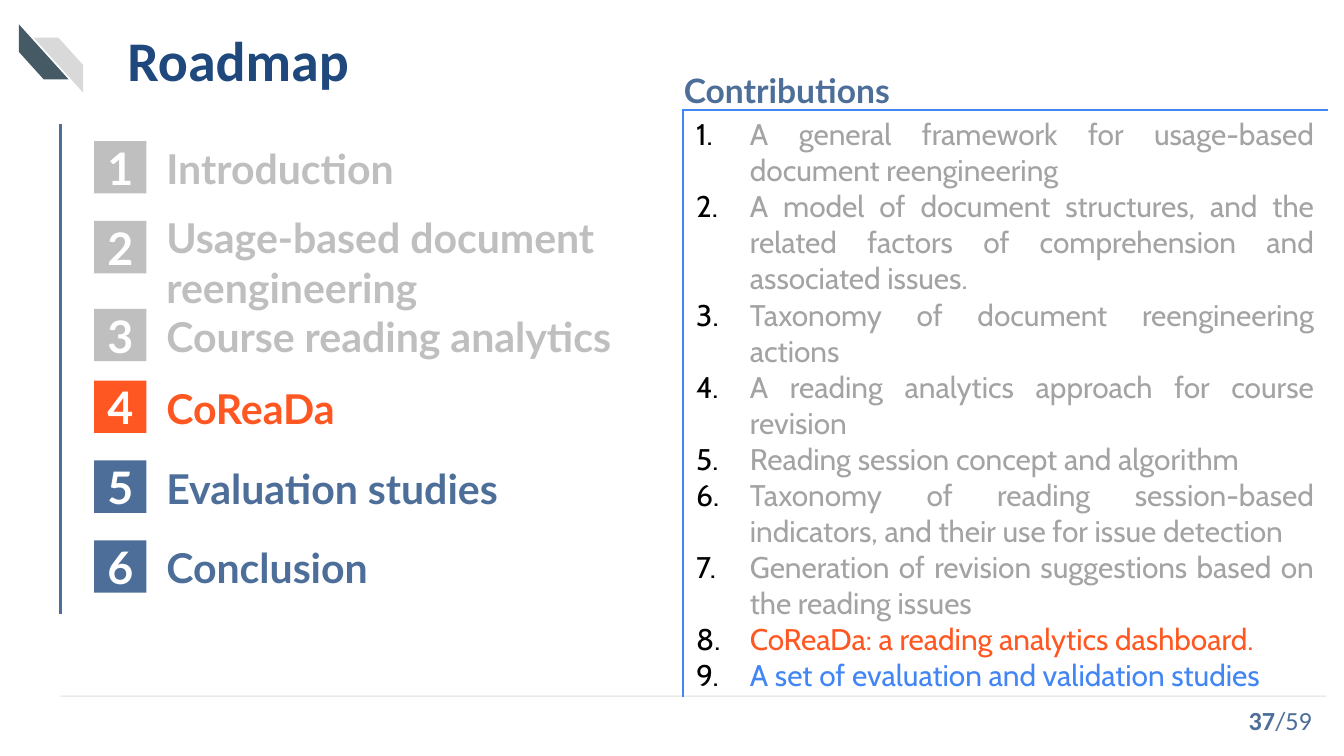
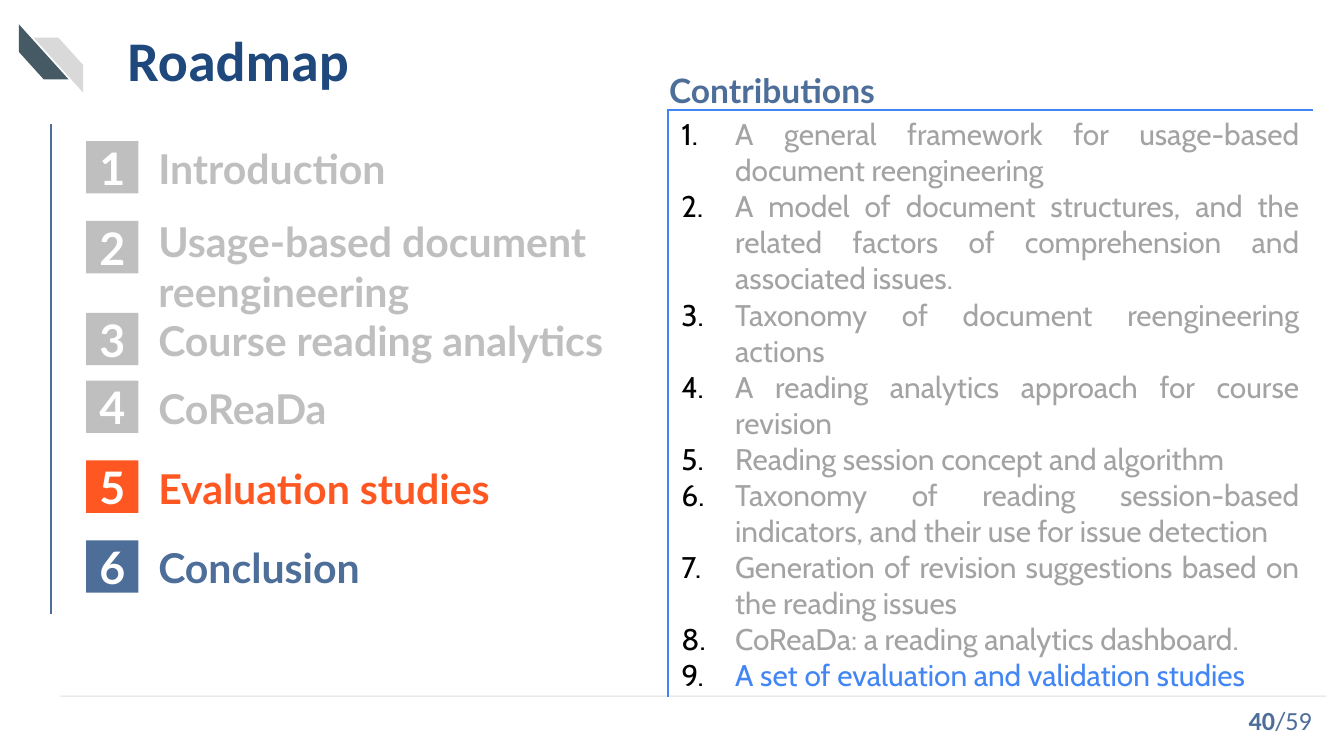
from lxml import etree
from pptx import Presentation
from pptx.dml.color import RGBColor
from pptx.enum.shapes import MSO_CONNECTOR, MSO_SHAPE
from pptx.enum.text import MSO_ANCHOR, PP_ALIGN
from pptx.oxml.ns import qn
from pptx.util import Inches, Pt

STRAIGHT = MSO_CONNECTOR.STRAIGHT
RECTANGLE, STRIPE = MSO_SHAPE.RECTANGLE, MSO_SHAPE.DIAGONAL_STRIPE
TOP, MIDDLE = MSO_ANCHOR.TOP, MSO_ANCHOR.MIDDLE
LEFT, CENTER, RIGHT, JUSTIFY = PP_ALIGN.LEFT, PP_ALIGN.CENTER, PP_ALIGN.RIGHT, PP_ALIGN.JUSTIFY

WHITE = RGBColor(0xFF, 0xFF, 0xFF)
NAVY = RGBColor(0x1F, 0x49, 0x7D)
STEEL = RGBColor(0x4E, 0x6E, 0x9A)
ORANGE = RGBColor(0xFF, 0x57, 0x22)
BLUE = RGBColor(0x42, 0x85, 0xF4)
DONE_GREY = RGBColor(0xBF, 0xBF, 0xBF)
TEXT_GREY = RGBColor(0xA3, 0xA3, 0xA3)
SLATE = RGBColor(0x45, 0x5A, 0x64)
PALE_GREY = RGBColor(0xD9, 0xD9, 0xD9)

SECTIONS = [
    ["Introduction"],
    ["Usage-based document", "reengineering"],
    ["Course reading analytics"],
    ["CoReaDa"],
    ["Evaluation studies"],
    ["Conclusion"],
]
CONTRIBUTIONS = [
    "A general framework for usage-based document reengineering",
    "A model of document structures, and the related factors of comprehension and associated issues.",
    "Taxonomy of document reengineering actions",
    "A reading analytics approach for course revision",
    "Reading session concept and algorithm",
    "Taxonomy of reading session-based indicators, and their use for issue detection",
    "Generation of revision suggestions based on the reading issues",
    "CoReaDa: a reading analytics dashboard.",
    "A set of evaluation and validation studies",
]
RESTART = 5  # the numbered list is split in two here
PAGE_TOTAL = 59
# nudge: how far the two crowded sections move down
ROADMAPS = [
    dict(page=37, section=4, contribution=8, done=7, rail=0.45, badge=0.70, panel=5.08, nudge=0),
    dict(page=40, section=5, contribution=None, done=8, rail=0.38, badge=0.64, panel=4.97, nudge=0.03),
]

BADGE_SIZE = 0.39
FIRST_BADGE_TOP, LAST_BADGE_TOP = 1.05, 4.02
BADGE_PITCH = (LAST_BADGE_TOP - FIRST_BADGE_TOP) / (len(SECTIONS) - 1)
LABEL_RISE = 0.03


def progress_color(number, current, last_done, done_color, next_color):
    if number == current:
        return ORANGE
    return done_color if number <= last_done else next_color


def add_run(para, text, size, font, color, bold=False):
    span = para.add_run()
    span.text = text
    span.font.size = Pt(size)
    span.font.name = font
    span.font.bold = bold
    span.font.color.rgb = color


def add_text(slide, place, paragraphs, align=LEFT, anchor=TOP, wrap=True, pad=0.05):
    """Each paragraph is a list of runs: (text, size, font, color, bold)."""
    box = slide.shapes.add_textbox(*map(Inches, place))
    frame = box.text_frame
    frame.word_wrap = wrap
    frame.vertical_anchor = anchor
    frame.margin_top = frame.margin_bottom = Inches(pad)
    for index, runs in enumerate(paragraphs):
        para = frame.add_paragraph() if index else frame.paragraphs[0]
        para.alignment = align
        for run in runs:
            add_run(para, *run)


def add_filled(slide, preset, place, color):
    shape = slide.shapes.add_shape(preset, *map(Inches, place))
    shape.shadow.inherit = False
    shape.fill.solid()
    shape.fill.fore_color.rgb = color
    shape.line.fill.background()
    return shape


def add_line(slide, start, end, color, width):
    line = slide.shapes.add_connector(STRAIGHT, *map(Inches, start + end))
    line.line.color.rgb = color
    line.line.width = Pt(width)
    etree.SubElement(line._element.spPr, qn("a:effectLst"))
    return line


def add_frame(slide, page):
    """Corner stripes, title, footer rule and page number."""
    dark = add_filled(slide, STRIPE, (0.12, 0.2, 0.41, 0.37), SLATE)
    dark.rotation = 270
    pale = add_filled(slide, STRIPE, (0.25, 0.28, 0.37, 0.41), PALE_GREY)
    pale._element.spPr.find(qn("a:xfrm")).set("flipH", "1")

    rule = add_line(slide, (9.87, 5.18), (0.45, 5.18), PALE_GREY, 0.5)
    rule_color = rule._element.spPr.find(".//" + qn("a:srgbClr"))
    etree.SubElement(rule_color, qn("a:alpha"), val="83000")

    add_text(slide, (0.85, 0.09, 8.92, 0.63),
             [[("Roadmap", 30, "Calibri", NAVY, True)]], pad=0.1)
    add_text(slide, (7.06, 5.21, 2.8, 0.3),
             [[(str(page), 14, "Calibri", STEEL, True),
               (f"/{PAGE_TOTAL}", 14, "Calibri", STEEL)]], RIGHT, MIDDLE)


def add_sections(slide, current, rail, badge_left, nudge):
    add_line(slide, (rail, 0.92), (rail, 4.57), STEEL, 1.5)
    for number, lines in enumerate(SECTIONS, 1):
        color = progress_color(number, current, current, DONE_GREY, STEEL)
        top = FIRST_BADGE_TOP + (number - 1) * BADGE_PITCH
        label_top = top - LABEL_RISE
        if len(lines) > 1:
            label_top += nudge - 0.08
        elif number > 1 and len(SECTIONS[number - 2]) > 1:
            top += nudge + 0.06
            label_top = top - LABEL_RISE

        add_text(slide, (badge_left + 0.44, label_top, 6.3, BADGE_SIZE),
                 [[(line, 22, "Lato", color, True)] for line in lines])
        badge = add_filled(slide, RECTANGLE, (badge_left, top, BADGE_SIZE, BADGE_SIZE), color)
        frame = badge.text_frame
        frame.vertical_anchor = MIDDLE
        frame.margin_left = frame.margin_right = Inches(0.1)
        frame.margin_top = frame.margin_bottom = Inches(0.1)
        para = frame.paragraphs[0]
        para.alignment = CENTER
        add_run(para, str(number), 24, "Lato", WHITE, True)


def set_borders(cell, color, width, shown):
    properties = cell._tc.get_or_add_tcPr()
    for index, side in enumerate(("lnL", "lnR", "lnT", "lnB")):
        border = etree.Element(qn("a:" + side), w=str(Pt(width)))
        if side in shown:
            fill = etree.SubElement(border, qn("a:solidFill"))
            etree.SubElement(fill, qn("a:srgbClr"), val=str(color))
        else:
            etree.SubElement(border, qn("a:noFill"))
        properties.insert(index, border)


def set_number(para, start):
    properties = para._p.get_or_add_pPr()
    properties.set("marL", str(Inches(0.4)))
    properties.set("indent", str(Inches(-0.4)))
    bullet_color = etree.SubElement(properties, qn("a:buClr"))
    etree.SubElement(bullet_color, qn("a:srgbClr"), val="000000")
    numbering = etree.SubElement(properties, qn("a:buAutoNum"), type="arabicPeriod")
    if start > 1:
        numbering.set("startAt", str(start))


def add_contributions(slide, left, current, last_done):
    holder = slide.shapes.add_table(1, 1, *map(Inches, (left, 0.82, 4.8, 4.1)))
    table = holder.table
    table.rows[0].height = Inches(1.22)
    holder.height = Inches(4.1)
    table.first_row = table.horz_banding = False
    cell = table.cell(0, 0)
    cell.fill.background()
    set_borders(cell, BLUE, 1, ("lnL", "lnT"))
    frame = cell.text_frame
    for number, text in enumerate(CONTRIBUTIONS, 1):
        para = frame.add_paragraph() if number > 1 else frame.paragraphs[0]
        set_number(para, RESTART if number >= RESTART else 1)
        para.alignment = JUSTIFY
        color = progress_color(number, current, last_done, TEXT_GREY, BLUE)
        add_run(para, text, 16, "Cabin", color)
    add_text(slide, (left - 0.09, 0.47, 1.84, 0.4),
             [[("Contributions", 18, "Lato", STEEL, True)]], wrap=False)


def main():
    deck = Presentation()
    deck.slide_width = Inches(10)
    deck.slide_height = deck.slide_width * 9 // 16
    for roadmap in ROADMAPS:
        slide = deck.slides.add_slide(deck.slide_layouts[6])
        add_frame(slide, roadmap["page"])
        add_sections(slide, roadmap["section"], roadmap["rail"], roadmap["badge"], roadmap["nudge"])
        add_contributions(slide, roadmap["panel"], roadmap["contribution"], roadmap["done"])
    deck.save("out.pptx")


if __name__ == "__main__":
    main()
